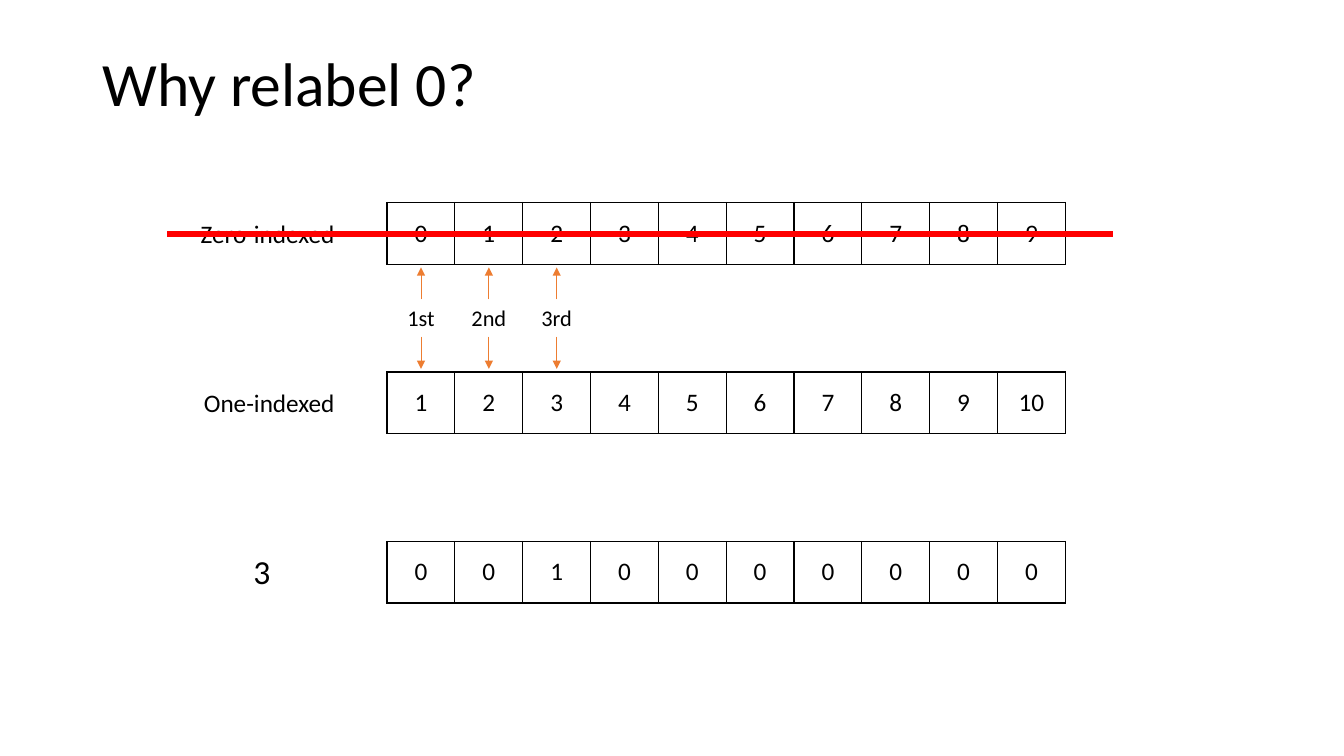
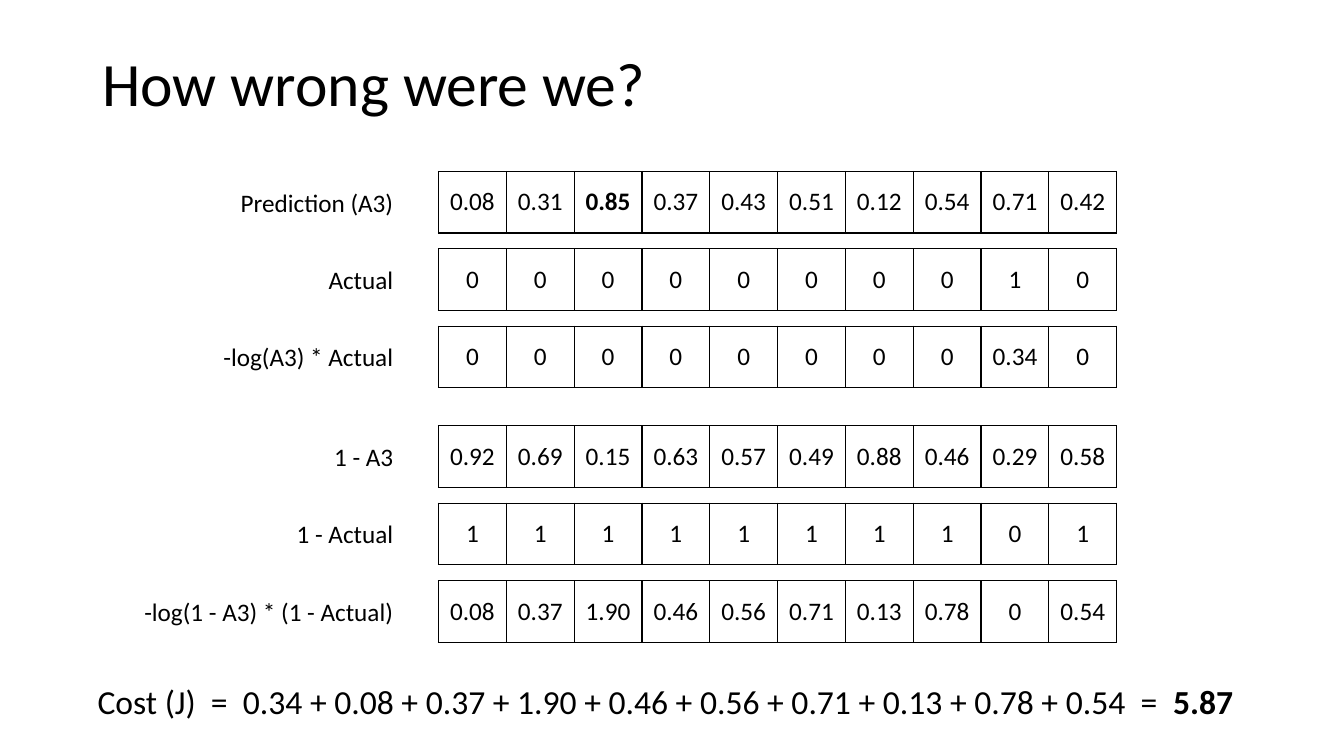
from lxml import etree
from pptx import Presentation
from pptx.dml.color import RGBColor
from pptx.enum import shapes, text
from pptx.oxml import ns
from pptx.util import Pt

BLACK = RGBColor(0x00, 0x00, 0x00)
ORANGE = RGBColor(0xED, 0x7D, 0x31)
RED = RGBColor(0xFF, 0x00, 0x00)
FONT = "Calibri"
LEFT, CENTER, RIGHT = text.PP_ALIGN.LEFT, text.PP_ALIGN.CENTER, text.PP_ALIGN.RIGHT
TOP, MIDDLE = text.MSO_ANCHOR.TOP, text.MSO_ANCHOR.MIDDLE

CELL_WIDTH, CELL_HEIGHT = 48.46, 44
LABEL_WIDTH, LABEL_HEIGHT, LABEL_DROP = 214, 29, 7.5
TITLE_BOX = (66, 9.4, 828, 104.4)


def add_text(slide, box, runs, size, align=LEFT, anchor=TOP, spacing=None):
    """Add a text box; runs is a list of (words, bold) pairs."""
    frame = slide.shapes.add_textbox(*map(Pt, box)).text_frame
    frame.word_wrap = True
    frame.vertical_anchor = anchor
    paragraph = frame.paragraphs[0]
    paragraph.alignment = align
    paragraph.line_spacing = spacing
    for words, bold in runs:
        run = paragraph.add_run()
        run.text = words
        run.font.name, run.font.size, run.font.bold = FONT, Pt(size), bold
        run.font.color.rgb = BLACK


def add_vector(slide, left, top, values, bold_value=None):
    """Add a one-row table with a thin black grid."""
    width = CELL_WIDTH * len(values)
    table = slide.shapes.add_table(
        1, len(values), Pt(left), Pt(top), Pt(width), Pt(CELL_HEIGHT)).table
    table.first_row = table.horz_banding = False
    for column, value in enumerate(values):
        table.columns[column].width = Pt(CELL_WIDTH)
        cell = table.cell(0, column)
        cell.vertical_anchor = MIDDLE
        properties = cell._tc.get_or_add_tcPr()
        for side in ("lnL", "lnR", "lnT", "lnB"):
            border = etree.SubElement(properties, ns.qn(f"a:{side}"), w=str(Pt(1)))
            fill = etree.SubElement(border, ns.qn("a:solidFill"))
            etree.SubElement(fill, ns.qn("a:srgbClr"), val=str(BLACK))
        cell.fill.background()
        paragraph = cell.text_frame.paragraphs[0]
        paragraph.alignment = CENTER
        run = paragraph.add_run()
        run.text = value
        run.font.name, run.font.size = FONT, Pt(18)
        run.font.bold = value == bold_value
        run.font.color.rgb = BLACK


deck = Presentation()
deck.slide_width, deck.slide_height = Pt(960), Pt(540)
blank = deck.slide_layouts[6]

# Why relabel 0?
relabel = deck.slides.add_slide(blank)
add_text(relabel, TITLE_BOX, [("Why relabel 0?", False)], 44, anchor=MIDDLE, spacing=0.9)

vector_left, label_right = 276.5, 246
index_rows = [
    ("Zero-indexed", "0 1 2 3 4 5 6 7 8 9"),
    ("One-indexed", "1 2 3 4 5 6 7 8 9 10"),
    (None, "0 0 1 0 0 0 0 0 0 0"),
]
for row, (label, values) in enumerate(index_rows):
    top = 144.7 + 121 * row
    add_vector(relabel, vector_left, top, values.split())
    if label:
        box = (label_right - LABEL_WIDTH, top + LABEL_DROP, LABEL_WIDTH, LABEL_HEIGHT)
        add_text(relabel, box, [(label, False)], 18, RIGHT)
add_text(relabel, (174, 390.2, 23.3, 36), [("3", False)], 24, RIGHT)

lines = []
for column, ordinal in enumerate(["1st", "2nd", "3rd"]):
    center = vector_left + CELL_WIDTH * (column + 0.5)
    add_text(relabel, (center - 22, 213.8, 44, 26.6), [(ordinal, False)], 16, CENTER)
    lines.append((center, 213.8, center, 191, ORANGE, 0.5, True))
    lines.append((center, 240.4, center, 263.5, ORANGE, 0.5, True))
lines.append((119.5, 167, 795, 167, RED, 4.5, False))

for x1, y1, x2, y2, color, weight, has_arrow in lines:
    connector = relabel.shapes.add_connector(
        shapes.MSO_CONNECTOR.STRAIGHT, Pt(x1), Pt(y1), Pt(x2), Pt(y2))
    connector.line.color.rgb = color
    connector.line.width = Pt(weight)
    if has_arrow:
        etree.SubElement(connector.line._get_or_add_ln(), ns.qn("a:tailEnd"), type="triangle")
    etree.SubElement(connector._element.spPr, ns.qn("a:effectLst"))

# How wrong were we?
cost = deck.slides.add_slide(blank)
add_text(cost, TITLE_BOX, [("How wrong were we?", False)], 44, anchor=MIDDLE, spacing=0.9)

vector_left, label_right = 313.2, 288
cost_groups = [
    (122.4, [
        ("Prediction (A3)", "0.08 0.31 0.85 0.37 0.43 0.51 0.12 0.54 0.71 0.42", "0.85"),
        ("Actual", "0 0 0 0 0 0 0 0 1 0", None),
        ("-log(A3) * Actual", "0 0 0 0 0 0 0 0 0.34 0", None),
    ]),
    (304.2, [
        ("1 - A3", "0.92 0.69 0.15 0.63 0.57 0.49 0.88 0.46 0.29 0.58", None),
        ("1 - Actual", "1 1 1 1 1 1 1 1 0 1", None),
        ("-log(1 - A3) * (1 - Actual)", "0.08 0.37 1.90 0.46 0.56 0.71 0.13 0.78 0 0.54", None),
    ]),
]
for group_top, rows in cost_groups:
    for row, (label, values, bold_value) in enumerate(rows):
        top = group_top + 55.3 * row
        add_vector(cost, vector_left, top, values.split(), bold_value)
        box = (label_right - LABEL_WIDTH, top + LABEL_DROP, LABEL_WIDTH, LABEL_HEIGHT)
        add_text(cost, box, [(label, False)], 18, RIGHT)

cost_sum = "Cost (J)  =  0.34 + 0.08 + 0.37 + 1.90 + 0.46 + 0.56 + 0.71 + 0.13 + 0.78 + 0.54  =  "
add_text(cost, (62.6, 483.1, 840, 36), [(cost_sum, False), ("5.87", True)], 24)

deck.save("out.pptx")
